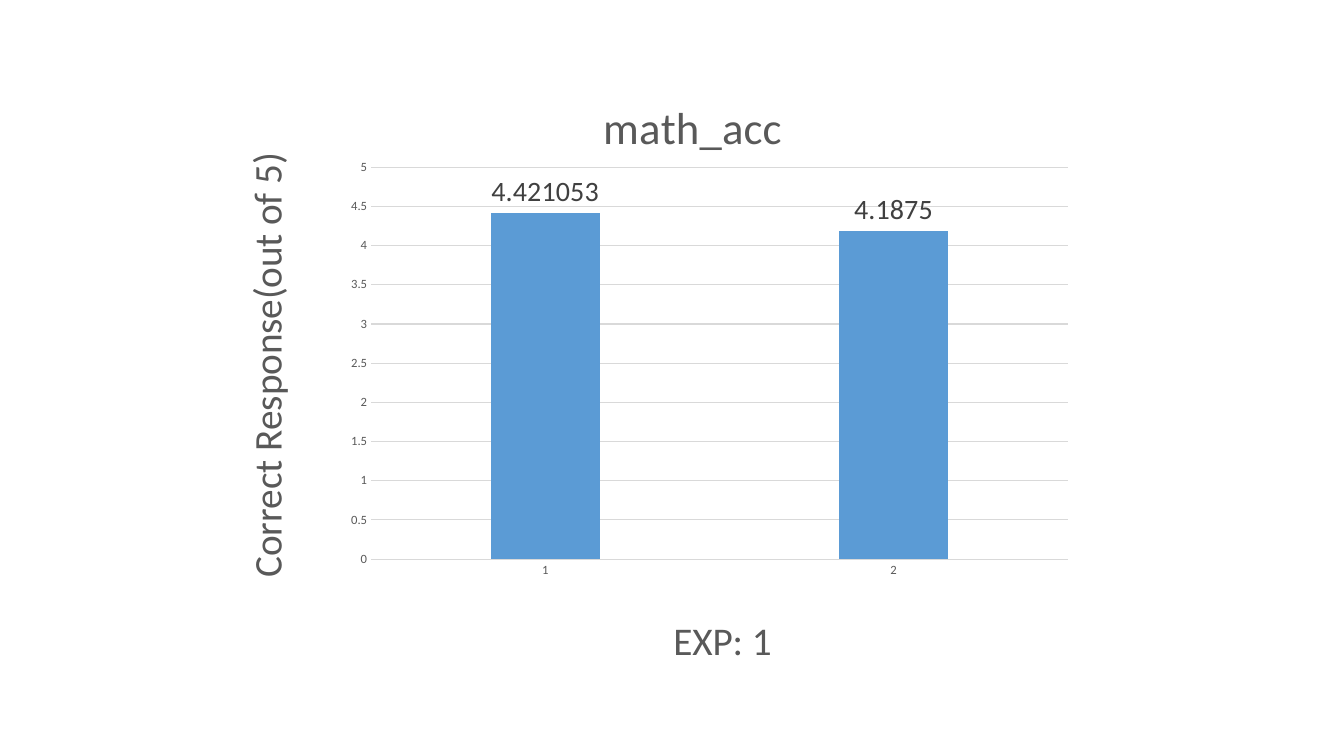
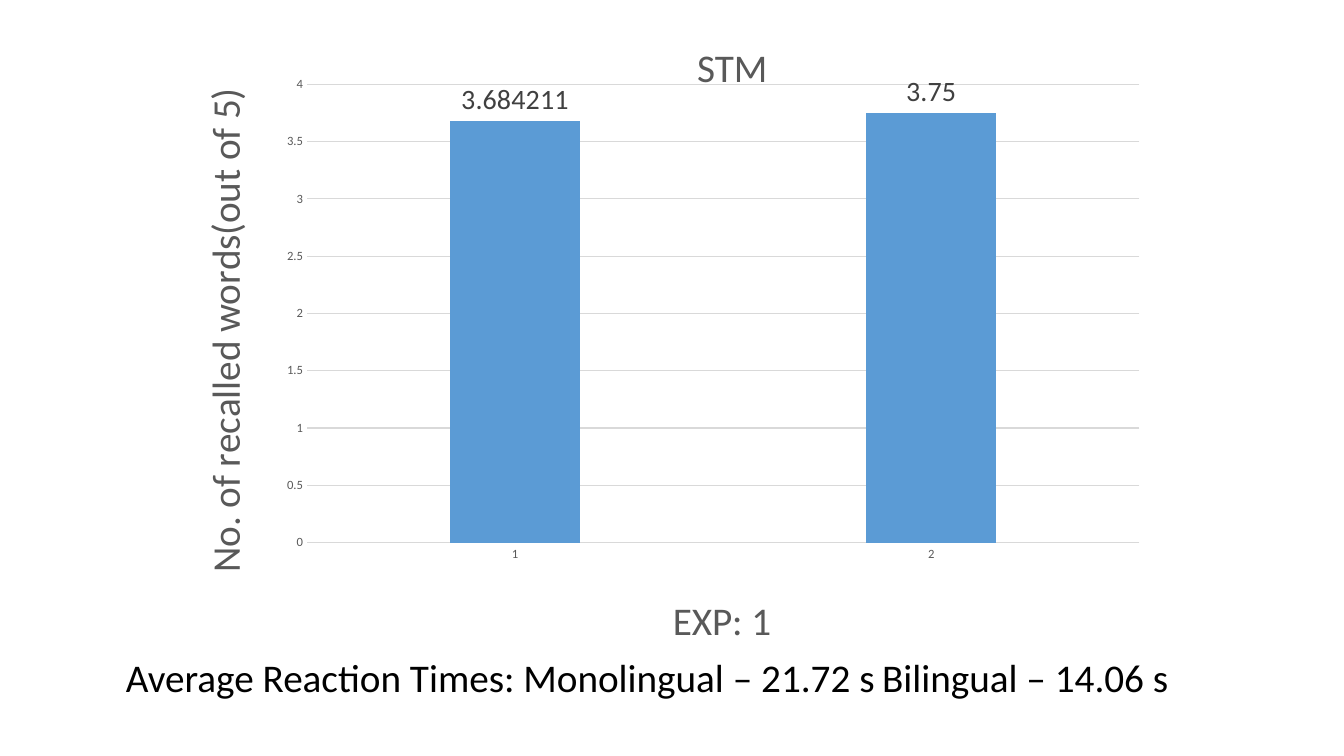
from dataclasses import dataclass

from lxml import etree
from pptx import Presentation
from pptx import util as u
from pptx.chart import data
from pptx.dml import color
from pptx.enum import chart as kind
from pptx.oxml import ns


@dataclass(frozen=True)
class Theme:
    """Colours, type sizes and the font of the deck."""

    font: str = "Calibri"
    bar: str = "5B9BD5"
    grid: str = "D9D9D9"
    grey: str = "595959"
    dark: str = "404040"
    ink: str = "000000"
    head: int = 32
    body: int = 28
    label: int = 20
    tick: int = 9


THEME = Theme()
WIDE, HIGH = u.Inches(13.33), u.Inches(7.5)


def area(left, top, width, height):
    """Turn percentages of the slide into a box."""
    shares = zip((left, top, width, height), (WIDE, HIGH, WIDE, HIGH))
    return [round(side * part / 100) for part, side in shares]


def style(font, size, tone):
    """Set font, size and colour."""
    font.name, font.size, font.bold = THEME.font, u.Pt(size), False
    font.color.rgb = color.RGBColor.from_string(tone)


def rule(line):
    """Draw a thin pale line."""
    line.width = u.Pt(0.75)
    line.color.rgb = color.RGBColor.from_string(THEME.grid)


def pin(node, index, spot, inner=False):
    """Place a chart part at percentages of the chart."""
    for old in node.findall(ns.qn("c:layout")):
        node.remove(old)
    layout = etree.Element(ns.qn("c:layout"))
    manual = etree.SubElement(layout, ns.qn("c:manualLayout"))
    pairs = [("layoutTarget", "inner")] if inner else []
    pairs += [("xMode", "edge"), ("yMode", "edge")]
    pairs += [(key, str(part / 100)) for key, part in zip("xywh", spot)]
    for key, value in pairs:
        etree.SubElement(manual, ns.qn("c:" + key)).set("val", value)
    node.insert(index, layout)


def name(title, words, size, spot, turn=0):
    """Write and place a chart or axis title."""
    frame = title.text_frame
    frame.text = words
    style(frame.paragraphs[0].runs[0].font, size, THEME.grey)
    node = title._element
    body = node.find(".//" + ns.qn("a:bodyPr"))
    body.set("rot", str(turn * 60000))
    body.set("vert", "horz")
    pin(node, 1, spot)


def bars(slide, box, values, top, plot, head, side, foot):
    """Draw a two-bar chart with placed titles."""
    source = data.CategoryChartData()
    source.categories = ["1", "2"]
    source.add_series("Series 1", values)
    form = kind.XL_CHART_TYPE.COLUMN_CLUSTERED
    chart = slide.shapes.add_chart(form, *area(*box), source).chart
    chart.has_legend = False
    style(chart.font, 10, THEME.ink)
    chart.has_title = True
    name(chart.chart_title, *head)

    across, up = chart.category_axis, chart.value_axis
    name(across.axis_title, *foot)
    name(up.axis_title, *side, turn=-90)
    for axis in (across, up):
        axis.major_tick_mark = axis.minor_tick_mark = kind.XL_TICK_MARK.NONE
        style(axis.tick_labels.font, THEME.tick, THEME.grey)
    rule(across.format.line)
    up.format.line.fill.background()
    up.minimum_scale, up.maximum_scale, up.major_unit = 0, top, 0.5
    up.has_major_gridlines = True
    rule(up.major_gridlines.format.line)

    group = chart.plots[0]
    group.gap_width, group.overlap = 219, -27
    group.vary_by_categories = False
    fill = group.series[0].format.fill
    fill.solid()
    fill.fore_color.rgb = color.RGBColor.from_string(THEME.bar)
    group.has_data_labels = True
    labels = group.data_labels
    labels.show_value = True
    labels.position = kind.XL_LABEL_POSITION.OUTSIDE_END
    labels.number_format, labels.number_format_is_linked = "General", False
    style(labels.font, THEME.label, THEME.dark)
    pin(chart._element.find(".//" + ns.qn("c:plotArea")), 0, plot, True)


def note(slide, box, words):
    """Write one line of text below a chart."""
    frame = slide.shapes.add_textbox(*area(*box)).text_frame
    frame.word_wrap = True
    frame.text = words
    style(frame.paragraphs[0].runs[0].font, THEME.body, THEME.ink)


def maths(slide):
    """Build the slide on correct answers."""
    bars(
        slide, (12.3, 2.53, 68.04, 97.47), (4.421053, 4.1875), 5,
        plot=(22.5, 20.1, 76.2, 53.2),
        head=("math_acc", THEME.head, (47, 9.4)),
        side=("Correct Response(out of 5)", THEME.body, (7.4, 17.2)),
        foot=("EXP: 1", THEME.body, (54.8, 79.8)),
    )


def recall(slide):
    """Build the slide on recalled words and reaction times."""
    bars(
        slide, (10.13, 0, 74.79, 87.33), (3.684211, 3.75), 4,
        plot=(17, 12.8, 82.8, 69.4),
        head=("STM", THEME.body, (55.1, 5.1)),
        side=("No. of recalled words(out of 5)", THEME.body, (5.5, 12.3)),
        foot=("EXP: 1", THEME.body, (52.7, 88.9)),
    )
    note(slide, (8.63, 85.73, 83.8, 7.6),
         "Average Reaction Times: Monolingual – 21.72 s\tBilingual – 14.06 s")


def main():
    """Build and save the deck."""
    deck = Presentation()
    deck.slide_width, deck.slide_height = WIDE, HIGH
    for build in (maths, recall):
        build(deck.slides.add_slide(deck.slide_layouts[6]))
    deck.save("out.pptx")


if __name__ == "__main__":
    main()
